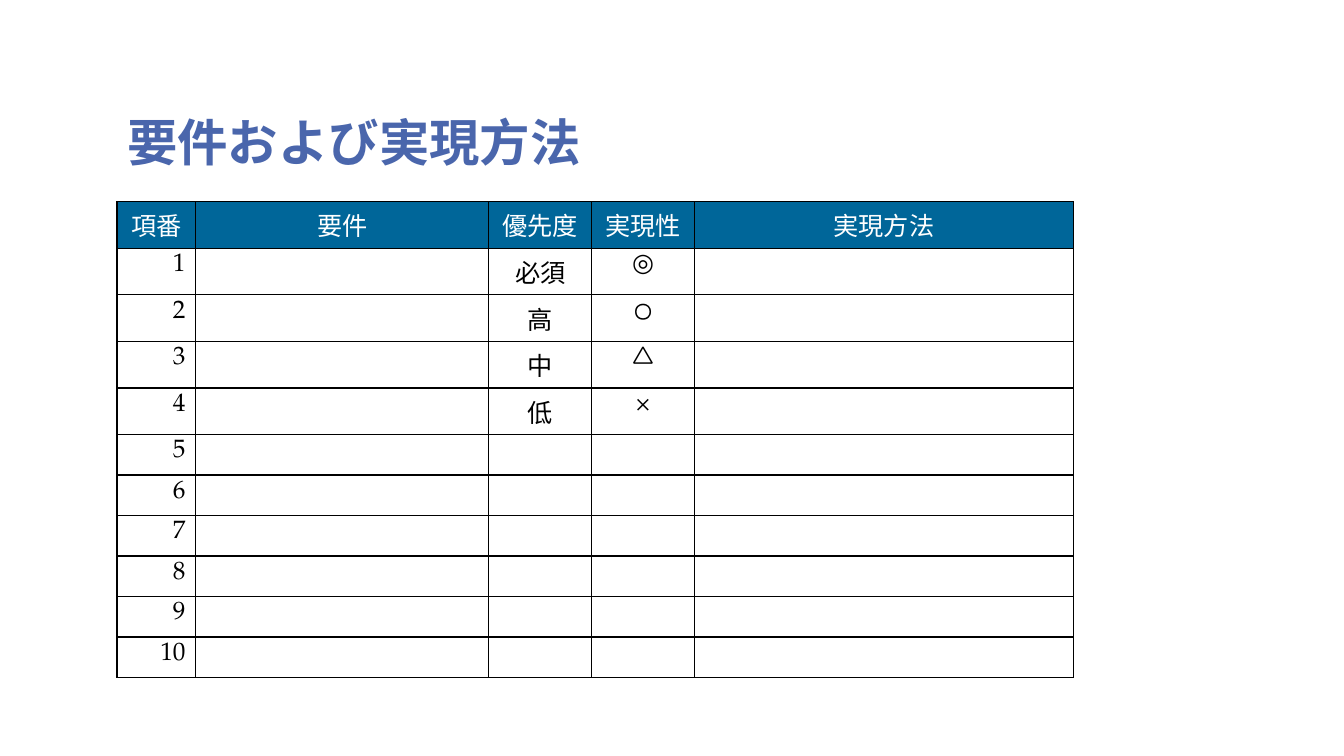
import pptx
import pptx.dml.color
import pptx.enum.text
import pptx.oxml
import pptx.oxml.ns
import pptx.util

Cm = pptx.util.Cm
Pt = pptx.util.Pt
ALIGN = pptx.enum.text.PP_ALIGN

KANJI_FONT = "Noto Sans CJK JP"
LATIN_FONT = "TeX Gyre Pagella"
NAMESPACE = pptx.oxml.ns.nsdecls("a")

HEADINGS = ["項番", "要件", "優先度", "実現性", "実現方法"]
PRIORITIES = ["必須", "高", "中", "低"]
FEASIBILITIES = ["◎", "○", "△", "×"]
ITEM_COUNT = 10
COLUMN_WIDTHS = [1.98, 7.39, 2.59, 2.59, 9.55]
HEADER_HEIGHT, ITEM_HEIGHT = 0.74, 1.02


def color(value):
    return pptx.dml.color.RGBColor.from_string(value)


def set_east_asian_font(run, name):
    run._r.get_or_add_rPr().append(
        pptx.oxml.parse_xml(f'<a:ea {NAMESPACE} typeface="{name}"/>'))


def add_title(slide, text, left, top, width, height):
    title = slide.shapes.title
    title.left, title.top, title.width, title.height = map(Cm, (left, top, width, height))
    frame = title.text_frame
    frame.text = text
    frame.word_wrap = True
    frame.auto_size = pptx.enum.text.MSO_AUTO_SIZE.NONE
    frame.vertical_anchor = pptx.enum.text.MSO_ANCHOR.BOTTOM
    paragraph = frame.paragraphs[0]
    paragraph.alignment = ALIGN.LEFT
    paragraph.line_spacing = 0.8
    paragraph.font.name = KANJI_FONT
    paragraph.font.size = Pt(36)
    paragraph.font.bold = True
    paragraph.font.color.rgb = color("4A66AC")
    set_east_asian_font(paragraph.runs[0], KANJI_FONT)


def add_borders(cell):
    # Borders come before the fill in the cell properties
    properties = cell._tc.get_or_add_tcPr()
    for position, side in enumerate(("lnL", "lnR", "lnT", "lnB")):
        properties.insert(position, pptx.oxml.parse_xml(
            f'<a:{side} {NAMESPACE} w="{Pt(1)}"><a:solidFill>'
            f'<a:srgbClr val="000000"/></a:solidFill></a:{side}>'))


def format_cell(cell, text, fill, text_color, alignment, east_asian_font):
    cell.fill.solid()
    cell.fill.fore_color.rgb = color(fill)
    add_borders(cell)
    cell.text = text
    paragraph = cell.text_frame.paragraphs[0]
    paragraph.alignment = alignment
    paragraph.font.name = LATIN_FONT
    paragraph.font.size = Pt(18)
    paragraph.font.bold = False
    paragraph.font.color.rgb = color(text_color)
    for run in paragraph.runs:
        set_east_asian_font(run, east_asian_font)


def add_requirements_table(slide, left, top, width):
    # Header texts, then numbered items; only the first ones are rated
    rows = [HEADINGS]
    for index in range(ITEM_COUNT):
        rated = index < len(PRIORITIES)
        rows.append([str(index + 1), "",
                     PRIORITIES[index] if rated else "",
                     FEASIBILITIES[index] if rated else "", ""])

    height = HEADER_HEIGHT + ITEM_COUNT * ITEM_HEIGHT
    table = slide.shapes.add_table(len(rows), len(HEADINGS), Cm(left), Cm(top),
                                   Cm(width), Cm(height)).table
    table.first_row = False
    table.horz_banding = False
    for column, column_width in zip(table.columns, COLUMN_WIDTHS):
        column.width = Cm(column_width)

    for row_index, texts in enumerate(rows):
        header = row_index == 0
        table.rows[row_index].height = Cm(HEADER_HEIGHT if header else ITEM_HEIGHT)
        for column_index, text in enumerate(texts):
            number = column_index == 0 and not header
            format_cell(table.cell(row_index, column_index), text,
                        "006699" if header else "FFFFFF",
                        "FFFFFF" if header else "000000",
                        ALIGN.RIGHT if number else ALIGN.CENTER,
                        LATIN_FONT if text in FEASIBILITIES else KANJI_FONT)


def main():
    presentation = pptx.Presentation()
    presentation.slide_width, presentation.slide_height = Cm(33.87), Cm(19.05)
    slide = presentation.slides.add_slide(presentation.slide_layouts[5])
    left, width = 2.95, 24.1
    add_title(slide, "要件および実現方法", left, 1.47, width, 2.97)
    add_requirements_table(slide, left, 5.08, width)
    presentation.save("out.pptx")


if __name__ == "__main__":
    main()
